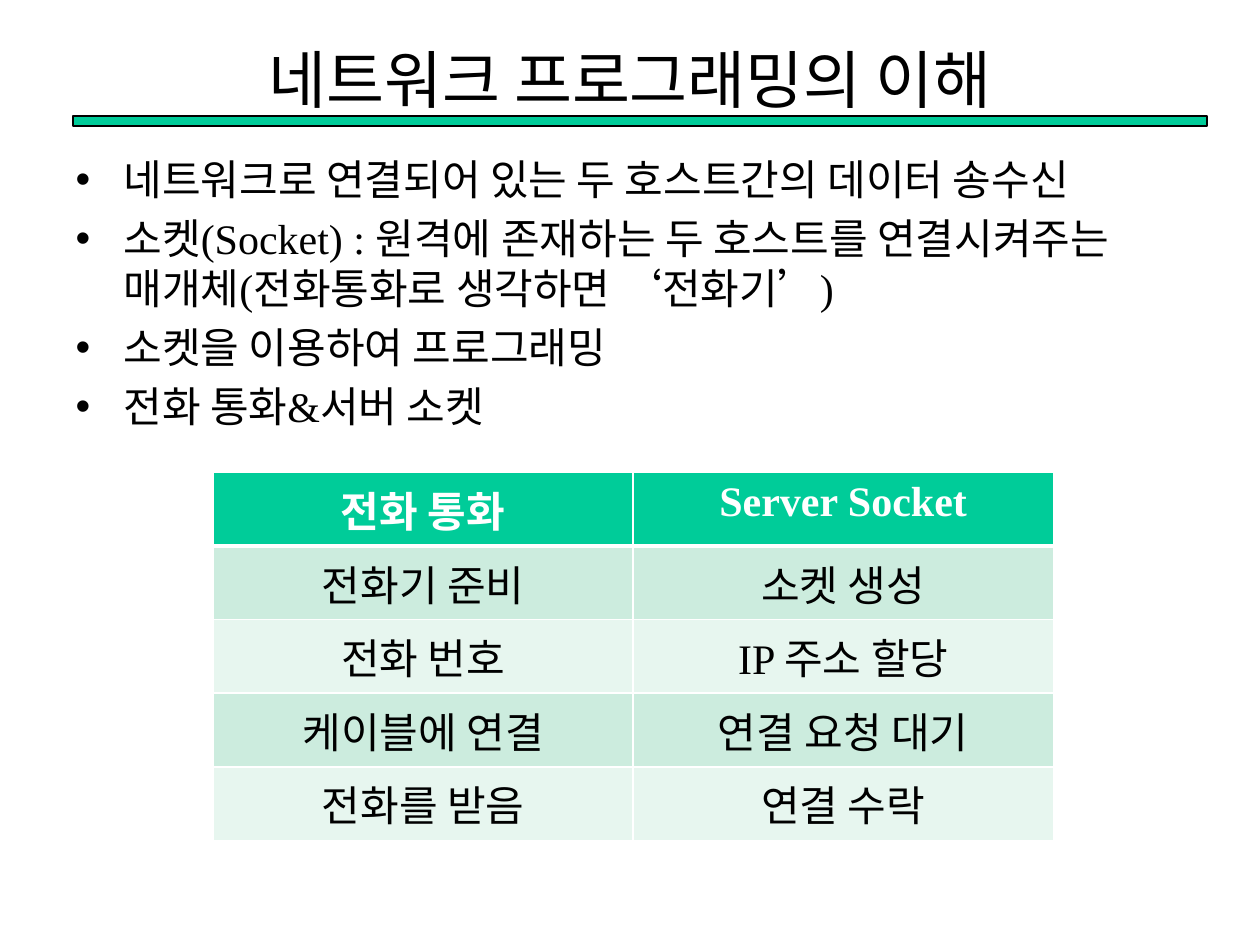
import pptx
import pptx.dml.color
import pptx.enum.shapes
import pptx.enum.text
import pptx.oxml.ns
import pptx.util
from lxml import etree

Inches, Pt = pptx.util.Inches, pptx.util.Pt
RGBColor = pptx.dml.color.RGBColor
CENTER = pptx.enum.text.PP_ALIGN.CENTER
MIDDLE = pptx.enum.text.MSO_ANCHOR.MIDDLE
TOP = pptx.enum.text.MSO_ANCHOR.TOP

GREEN = RGBColor(0x00, 0xCC, 0x99)
BAND_DARK = RGBColor(0xCC, 0xEC, 0xDE)
BAND_LIGHT = RGBColor(0xE7, 0xF6, 0xEF)
BLACK = RGBColor(0, 0, 0)
WHITE = RGBColor(0xFF, 0xFF, 0xFF)
FONT = "Times New Roman"

TITLE = "네트워크 프로그래밍의 이해"
BULLETS = [
    "네트워크로 연결되어 있는 두 호스트간의 데이터 송수신",
    "소켓(Socket) : 원격에 존재하는 두 호스트를 연결시켜주는 매개체(전화통화로 생각하면 ‘전화기’)",
    "소켓을 이용하여 프로그래밍",
    "전화 통화&서버 소켓",
]
CALL_STEPS = [
    ("전화 통화", "Server Socket"),
    ("전화기 준비", "소켓 생성"),
    ("전화 번호", "IP 주소 할당"),
    ("케이블에 연결", "연결 요청 대기"),
    ("전화를 받음", "연결 수락"),
]


def set_values(target, values):
    for name, value in values.items():
        setattr(target, name, value)


def place(shape, left, top, width, height):
    set_values(shape, {"left": Inches(left), "top": Inches(top),
                       "width": Inches(width), "height": Inches(height)})


def write(para, text, size, color=BLACK, bold=False):
    span = para.add_run()
    span.text = text
    set_values(span.font, {"name": FONT, "size": Pt(size), "bold": bold})
    span.font.color.rgb = color


def make_bullet(para):
    props = para._p.get_or_add_pPr()
    props.set("marL", str(Inches(0.38)))
    props.set("indent", str(-Inches(0.38)))
    etree.SubElement(props, pptx.oxml.ns.qn("a:buChar")).set("char", "•")


def add_title(page):
    title = page.shapes.title
    place(title, 0.5, 0.33, 9, 0.58)
    set_values(title.text_frame, {"vertical_anchor": MIDDLE, "word_wrap": True,
                                  "auto_size": pptx.enum.text.MSO_AUTO_SIZE.NONE})
    para = title.text_frame.paragraphs[0]
    para.alignment = CENTER
    write(para, TITLE, 36)


def add_rule(page):
    rule = page.shapes.add_shape(pptx.enum.shapes.MSO_SHAPE.RECTANGLE, 0, 0, 0, 0)
    place(rule, 0.58, 0.92, 9, 0.08)
    rule.shadow.inherit = False
    rule.fill.solid()
    rule.fill.fore_color.rgb = GREEN
    rule.line.color.rgb = BLACK
    rule.line.width = Pt(0.75)
    # The rule lies behind the title
    page.shapes.title.element.addprevious(rule.element)


def add_bullets(page):
    body = page.placeholders[1]
    place(body, 0.5, 1.17, 9, 5.75)
    frame = body.text_frame
    set_values(frame, {"vertical_anchor": TOP, "word_wrap": True,
                       "auto_size": pptx.enum.text.MSO_AUTO_SIZE.NONE})
    for index, text in enumerate(BULLETS):
        para = frame.add_paragraph() if index else frame.paragraphs[0]
        para.space_before = Pt(4.8 if index else 0)
        make_bullet(para)
        write(para, text, 24)


def set_borders(cell, bottom):
    props = cell._tc.get_or_add_tcPr()
    widths = {"a:lnL": 1, "a:lnR": 1, "a:lnT": 1, "a:lnB": bottom}
    for index, (tag, width) in enumerate(widths.items()):
        line = etree.Element(pptx.oxml.ns.qn(tag), w=str(Pt(width)))
        fill = etree.SubElement(line, pptx.oxml.ns.qn("a:solidFill"))
        etree.SubElement(fill, pptx.oxml.ns.qn("a:srgbClr")).set("val", str(WHITE))
        props.insert(index, line)


def add_steps_table(page):
    rows, columns = len(CALL_STEPS), len(CALL_STEPS[0])
    table = page.shapes.add_table(rows, columns, Inches(1.69), Inches(3.75),
                                  Inches(6.67), Inches(0.41 * rows)).table
    for row, labels in enumerate(CALL_STEPS):
        header = row == 0
        for column, label in enumerate(labels):
            cell = table.cell(row, column)
            cell.fill.solid()
            band = BAND_DARK if row % 2 else BAND_LIGHT
            cell.fill.fore_color.rgb = GREEN if header else band
            set_borders(cell, bottom=3 if header else 1)
            para = cell.text_frame.paragraphs[0]
            para.alignment = CENTER
            write(para, label, 24, WHITE if header else BLACK, header)


def main():
    deck = pptx.Presentation()
    set_values(deck, {"slide_width": Inches(10), "slide_height": Inches(7.5)})
    page = deck.slides.add_slide(deck.slide_layouts[1])
    add_title(page)
    add_rule(page)
    add_bullets(page)
    add_steps_table(page)
    deck.save("out.pptx")


if __name__ == "__main__":
    main()
